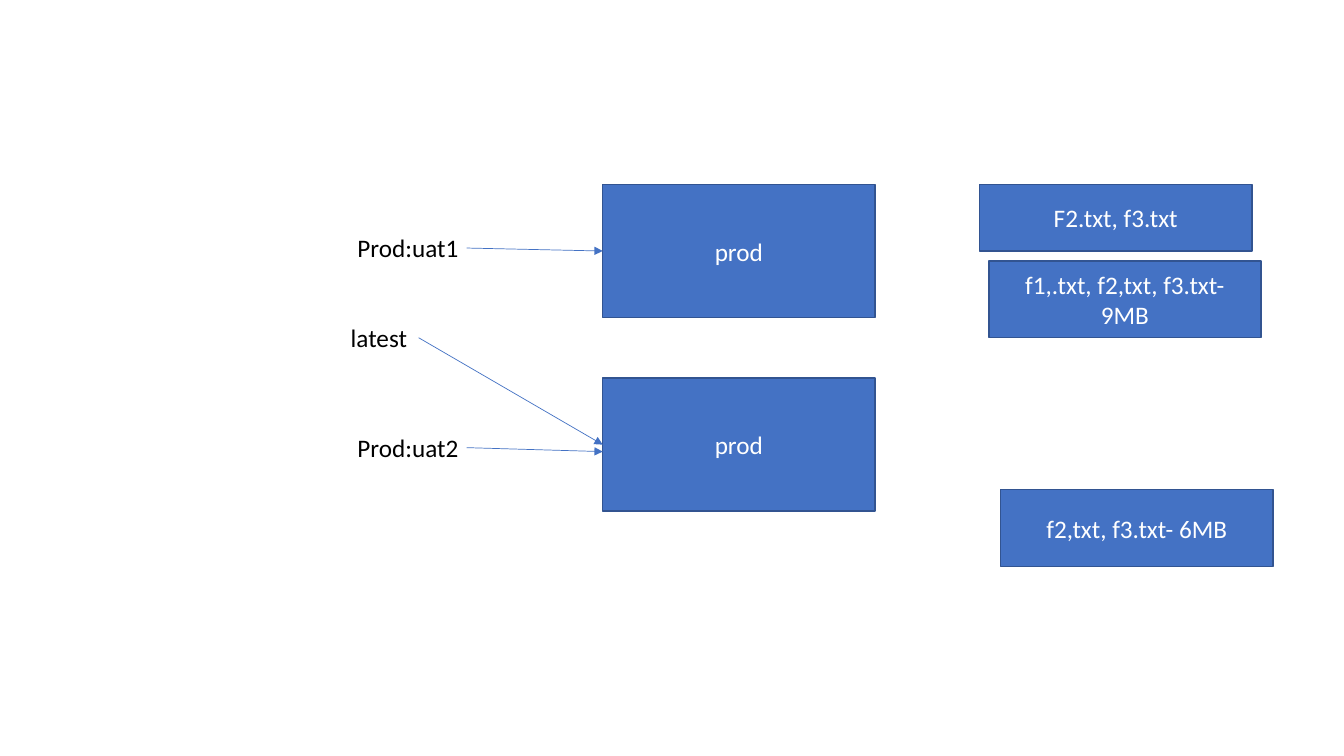
from lxml import etree
from pptx import Presentation
from pptx.dml.color import RGBColor
from pptx.enum.shapes import MSO_CONNECTOR as Connector, MSO_SHAPE as Shape
from pptx.enum.text import MSO_ANCHOR as Anchor, MSO_AUTO_SIZE as AutoSize, PP_ALIGN as Align
from pptx.oxml.ns import qn
from pptx.util import Cm, Pt

BLUE, DARK_BLUE, WHITE, BLACK = "4472C4", "325491", "FFFFFF", "000000"
BOX_WIDTH, LABEL_HEIGHT = 6.86, 1.02
LEFT_SIDE, RIGHT_SIDE = 1, 3

# name: (text, left, top, height), in centimetres
BOXES = {
    "first image": ("prod", 15.19, 4.65, 3.35),
    "second image": ("prod", 15.19, 9.53, 3.35),
    "first layer": ("f1,.txt, f2,txt, f3.txt- 9MB", 24.92, 6.58, 1.93),
    "top layer": ("F2.txt, f3.txt", 24.69, 4.65, 1.68),
    "second layer": ("f2,txt, f3.txt- 6MB", 25.22, 12.34, 1.93),
}
# name: (text, left, top, width)
LABELS = {
    "uat1": ("Prod:uat1", 8.76, 5.74, 3.07),
    "latest": ("latest", 8.59, 8.0, 1.96),
    "uat2": ("Prod:uat2", 8.76, 10.77, 3.07),
}
# start, end, label joined at the start, box joined at the end
ARROWS = [
    ((11.76, 6.25), (15.19, 6.33), None, "first image"),
    ((10.55, 8.51), (15.19, 11.2), "latest", "second image"),
    ((11.76, 11.28), (15.19, 11.38), None, "second image low"),
]


def color(hex_text):
    return RGBColor.from_string(hex_text)


def write(shape, text, *, ink=BLACK, align=Align.LEFT, anchor=Anchor.TOP, wrap=True, size=18):
    frame = shape.text_frame
    frame.word_wrap = wrap
    frame.vertical_anchor = anchor
    if not wrap:
        frame.auto_size = AutoSize.SHAPE_TO_FIT_TEXT
    paragraph = frame.paragraphs[0]
    paragraph.text = text
    paragraph.alignment = align
    paragraph.font.name = "Calibri"
    paragraph.font.size = Pt(size)
    paragraph.font.color.rgb = color(ink)


def add_box(slide, text, left, top, height):
    box = slide.shapes.add_shape(Shape.RECTANGLE, Cm(left), Cm(top), Cm(BOX_WIDTH), Cm(height))
    box.shadow.inherit = False
    box.fill.solid()
    box.fill.fore_color.rgb = color(BLUE)
    box.line.color.rgb = color(DARK_BLUE)
    box.line.width = Pt(1)
    write(box, text, ink=WHITE, align=Align.CENTER, anchor=Anchor.MIDDLE)
    return box


def add_label(slide, text, left, top, width):
    label = slide.shapes.add_textbox(Cm(left), Cm(top), Cm(width), Cm(LABEL_HEIGHT))
    write(label, text, wrap=False)
    return label


def add_arrow(slide, start, end, source=None, target=None):
    """Draw an arrow, joined to the source and target shapes where given."""
    points = [Cm(value) for value in (*start, *end)]
    arrow = slide.shapes.add_connector(Connector.STRAIGHT, *points)
    if source is not None:
        arrow.begin_connect(source, RIGHT_SIDE)
    if target is not None:
        arrow.end_connect(target, LEFT_SIDE)
    arrow.line.color.rgb = color(BLUE)
    arrow.line.width = Pt(0.5)
    etree.SubElement(arrow.line._get_or_add_ln(), qn("a:tailEnd"), type="triangle")
    etree.SubElement(arrow._element.spPr, qn("a:effectLst"))


def main():
    presentation = Presentation()
    presentation.slide_width, presentation.slide_height = Cm(33.87), Cm(19.05)
    slide = presentation.slides.add_slide(presentation.slide_layouts[6])
    boxes = {name: add_box(slide, *box) for name, box in BOXES.items()}
    labels = {name: add_label(slide, *label) for name, label in LABELS.items()}
    for start, end, source, target in ARROWS:
        add_arrow(slide, start, end, labels.get(source), boxes.get(target))
    presentation.save("out.pptx")


if __name__ == "__main__":
    main()
